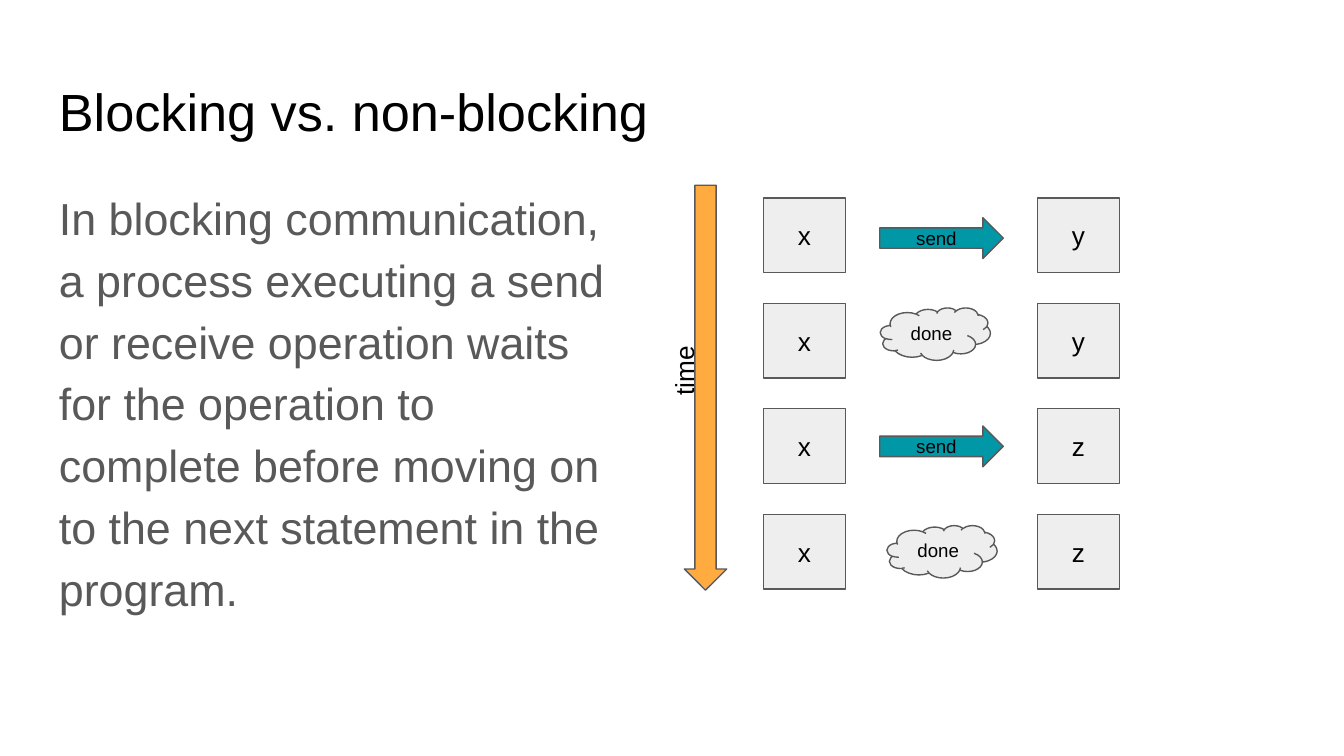
from pptx import Presentation
from pptx.dml.color import RGBColor
from pptx.enum import shapes, text
from pptx.util import Pt

TITLE = "Blocking vs. non-blocking"
BODY = ("In blocking communication, a process executing a send or receive "
        "operation waits for the operation to complete before moving on "
        "to the next statement in the program.")
TIME_LABEL = "time"
STEPS = [("x", "y"), ("x", "y"), ("x", "z"), ("x", "z")]
SENDS = [("send", 116.6), ("send", 228.2)]
DONES = [("done", 471.6, 164.9), ("done", 475.2, 281.5)]
COLORS = {"ink": "000000", "body": "595959", "outline": "595959",
          "process": "EEEEEE", "send": "0097A7", "time": "FFAB40"}
KIND = shapes.MSO_SHAPE
SENDER_LEFT, RECEIVER_LEFT = 409, 555.8
FIRST_TOP, STEP_GAP = 106, 56.5

deck = Presentation()
deck.slide_width, deck.slide_height = Pt(720), Pt(405)
page = deck.slides.add_slide(deck.slide_layouts[6])


def color(name):
    return RGBColor.from_string(COLORS[name])


def write(box, words, size, ink="ink"):
    frame = box.text_frame
    frame.word_wrap = True
    frame.margin_left = frame.margin_right = Pt(7.2)
    frame.margin_top = frame.margin_bottom = Pt(7.2)
    para = frame.paragraphs[0]
    para.text = words
    para.font.name = "Arial"
    para.font.size = Pt(size)
    para.font.color.rgb = color(ink)
    return para


def add_text(words, area, size, ink="ink"):
    box = page.shapes.add_textbox(*map(Pt, area))
    return box, write(box, words, size, ink)


def add_figure(kind, area, fill, words="", size=14):
    box = page.shapes.add_shape(kind, *map(Pt, area))
    box.shadow.inherit = False
    box.fill.solid()
    box.fill.fore_color.rgb = color(fill)
    box.line.color.rgb = color("outline")
    box.line.width = Pt(0.75)
    if words:
        write(box, words, size).alignment = text.PP_ALIGN.CENTER
        box.text_frame.vertical_anchor = text.MSO_ANCHOR.MIDDLE


add_text(TITLE, (24.5, 35.3, 671, 45.4), 28)
body_box, body_para = add_text(BODY, (24.5, 90.7, 314.6, 269.3), 24, "body")
body_para.line_spacing = 1.15
body_para.space_after = Pt(16)

for row, pair in enumerate(STEPS):
    top = FIRST_TOP + row * STEP_GAP
    for left, name in zip((SENDER_LEFT, RECEIVER_LEFT), pair):
        add_figure(KIND.RECTANGLE, (left, top, 43.9, 40), "process", name)

add_figure(KIND.DOWN_ARROW, (366.6, 99.2, 22.7, 217), "time")
time_box, time_para = add_text(TIME_LABEL, (337, 188.6, 43.9, 16.6), 14)
time_box.rotation = 270

for words, top in SENDS:
    add_figure(KIND.RIGHT_ARROW, (471.3, top, 66.2, 21.9), "send", words, 10)
for words, left, top in DONES:
    add_figure(KIND.CLOUD, (left, top, 59, 28.1), "process", words, 10)

deck.save("out.pptx")
